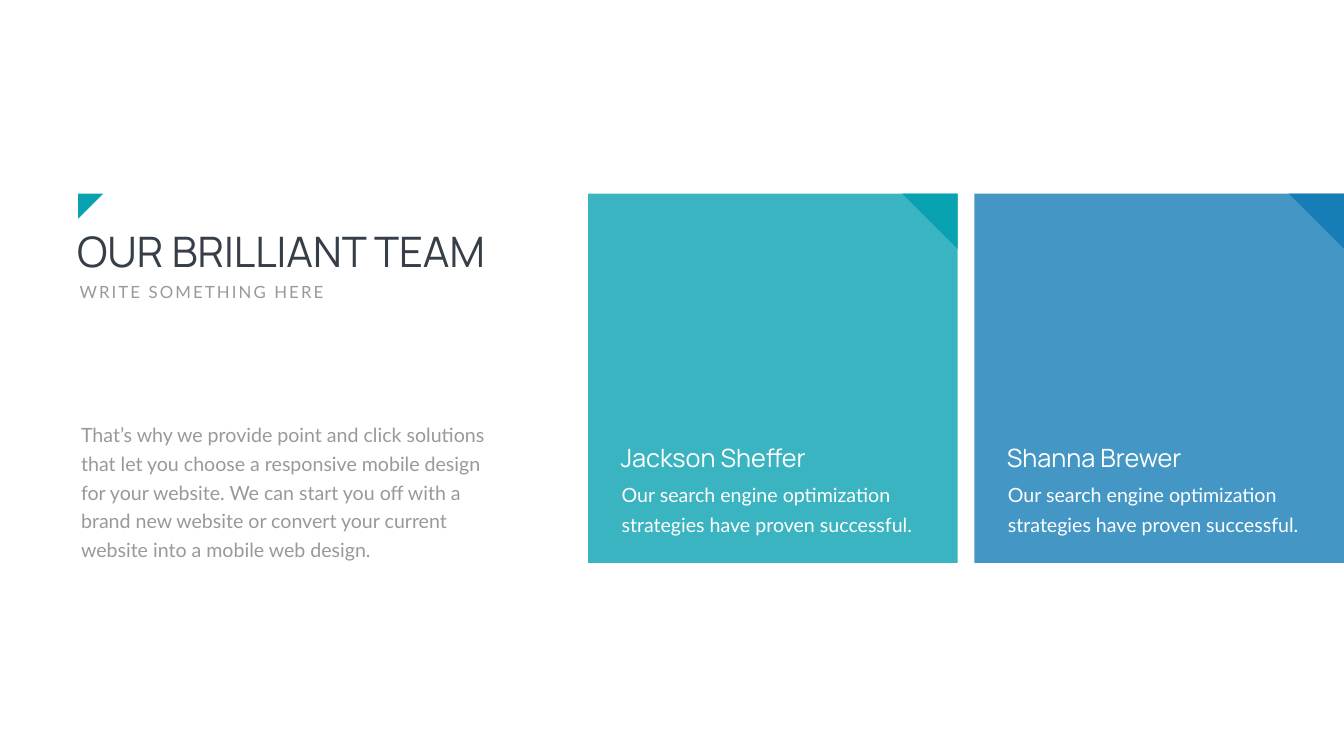
from dataclasses import dataclass

from pptx import Presentation
from pptx.dml.color import RGBColor as Color
from pptx.enum.shapes import MSO_SHAPE as Shape
from pptx.enum.text import MSO_AUTO_SIZE as AutoSize
from pptx.oxml.ns import qn
from pptx.oxml.xmlchemy import OxmlElement as Element
from pptx.util import Pt


@dataclass(frozen=True)
class Theme:
    """Colours, fonts and type sizes of the deck."""

    teal: str = "09A2B1"
    blue: str = "167DB7"
    dark: str = "363E48"
    grey: str = "999999"
    white: str = "FFFFFF"
    heading_font: str = "Manrope"
    body_font: str = "Lato"
    title_size: int = 60
    name_size: int = 36
    body_size: int = 28
    subtitle_size: int = 24


class SlideBuilder:
    """Draws styled elements on the current slide."""

    def __init__(self, slide, theme):
        self.slide = slide
        self.theme = theme

    def block(self, kind, left, top, side, color, rotation=0, opacity=100):
        """Add a square-bounded filled shape."""
        shape = self.slide.shapes.add_shape(kind, Pt(left), Pt(top), Pt(side), Pt(side))
        shape.shadow.inherit = False
        shape.rotation = rotation
        shape.fill.solid()
        shape.fill.fore_color.rgb = Color.from_string(color)
        shape.line.fill.background()
        if opacity < 100:
            alpha = Element("a:alpha")
            alpha.set("val", str(opacity * 1000))
            shape._element.spPr.find(".//" + qn("a:srgbClr")).append(alpha)

    def text(self, words, left, top, width, height, font, size, color,
             line_height=None, wrap=True, tracking=0):
        """Add a single-paragraph text box that grows with its text."""
        box = self.slide.shapes.add_textbox(Pt(left), Pt(top), Pt(width), Pt(height))
        frame = box.text_frame
        frame.text = words
        frame.word_wrap = wrap
        frame.auto_size = AutoSize.SHAPE_TO_FIT_TEXT
        paragraph = frame.paragraphs[0]
        if line_height:
            paragraph.line_spacing = Pt(line_height)
        run = paragraph.runs[0]
        run.font.name = font
        run.font.size = Pt(size)
        run.font.color.rgb = Color.from_string(color)
        if tracking:
            run._r.get_or_add_rPr().set("spc", str(tracking * 100))

    def member_card(self, left, top, side, color, name, summary):
        """Add a team member's card with its folded corner and captions."""
        theme = self.theme
        corner = 79.2
        self.block(Shape.RECTANGLE, left, top, side, color, opacity=80)
        self.block(Shape.RIGHT_TRIANGLE, left + side - corner, top, corner, color, rotation=180)
        self.text(summary, left + 40.75, top + 400.3, 447, 90,
                  theme.body_font, theme.body_size, theme.white, line_height=43)
        self.text(name, left + 39.25, top + 352, 332, 51,
                  theme.heading_font, theme.name_size, theme.white)


def main():
    """Build and save the team slide."""
    presentation = Presentation()
    presentation.slide_width = Pt(1919.5)
    presentation.slide_height = Pt(1080)
    slide = presentation.slides.add_slide(presentation.slide_layouts[6])
    theme = Theme()
    builder = SlideBuilder(slide, theme)

    top = 276.5
    card_left, card_side, card_gap = 840, 527.75, 24
    summary = "Our search engine optimization strategies have proven successful."
    members = [("Jackson Sheffer", theme.teal), ("Shanna Brewer", theme.blue)]
    for index, (name, color) in enumerate(members):
        left = card_left + index * (card_side + card_gap)
        builder.member_card(left, top, card_side, color, name, summary)

    builder.text("OUR BRILLIANT TEAM", 103, 318.25, 647.25, 80,
                 theme.heading_font, theme.title_size, theme.dark)
    builder.text("WRITE SOMETHING HERE", 106.5, 398.25, 370, 36,
                 theme.body_font, theme.subtitle_size, theme.grey, wrap=False, tracking=3)
    builder.block(Shape.RIGHT_TRIANGLE, 111.6, top, 36, theme.teal, rotation=90)
    builder.text(
        "That’s why we provide point and click solutions that let you choose "
        "a responsive mobile design for your website. We can start you off with "
        "a brand new website or convert your current website into a mobile web design.",
        108.75, 594, 624.25, 210.25,
        theme.body_font, theme.body_size, theme.grey, line_height=40.8)

    presentation.save("out.pptx")


if __name__ == "__main__":
    main()
